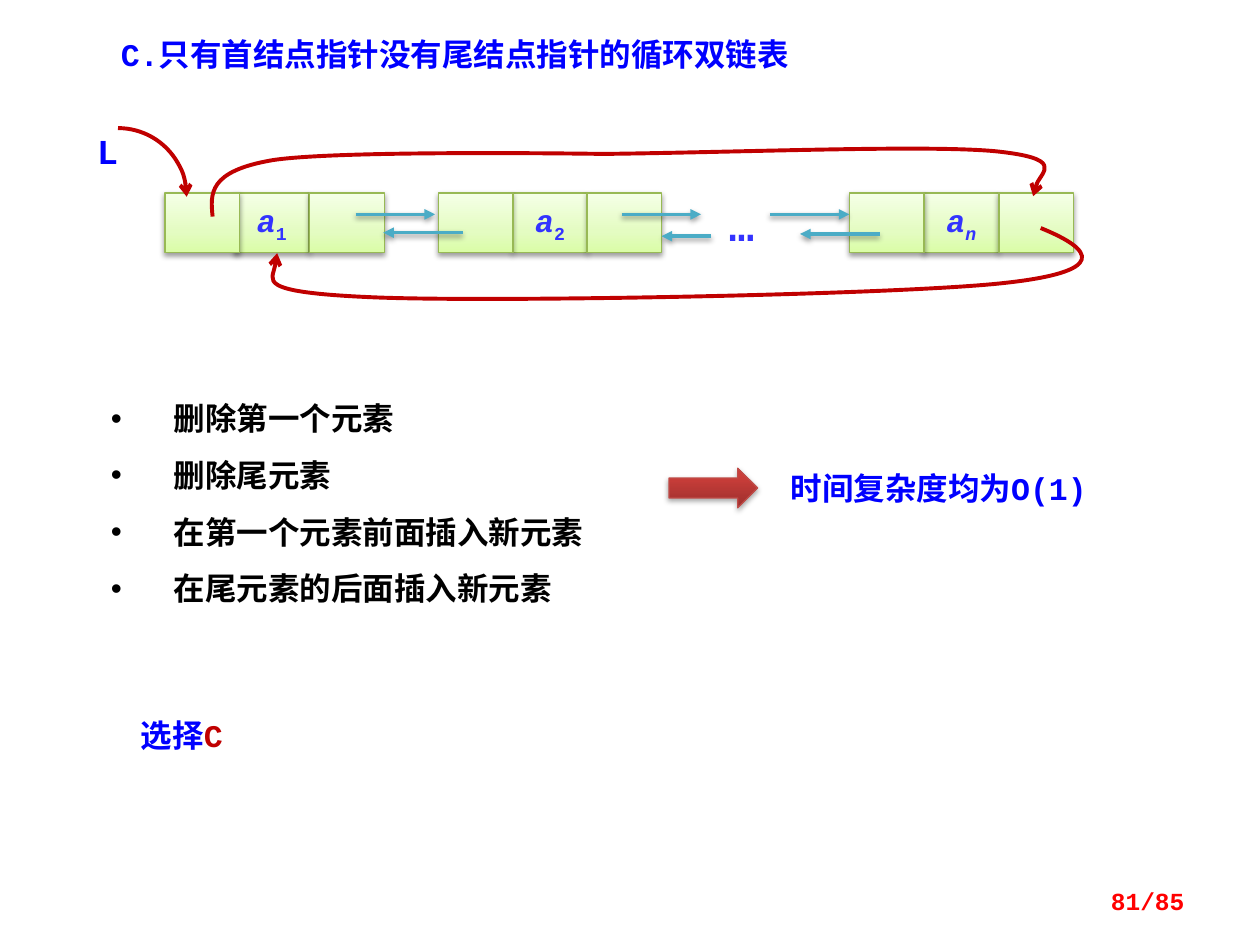
from lxml import etree
from pptx import Presentation
from pptx.dml.color import RGBColor
from pptx.enum.shapes import MSO_CONNECTOR, MSO_SHAPE
from pptx.enum.text import MSO_ANCHOR, PP_ALIGN
from pptx.oxml.ns import qn
from pptx.util import Pt

STRAIGHT = MSO_CONNECTOR.STRAIGHT
RECTANGLE, ARC, RIGHT_ARROW = MSO_SHAPE.RECTANGLE, MSO_SHAPE.ARC, MSO_SHAPE.RIGHT_ARROW
TOP, MIDDLE = MSO_ANCHOR.TOP, MSO_ANCHOR.MIDDLE
LEFT, CENTER, RIGHT = PP_ALIGN.LEFT, PP_ALIGN.CENTER, PP_ALIGN.RIGHT

COLORS = {
    "blue": "0000FF", "violet": "3333FF", "red": "FF0000", "crimson": "C00000",
    "black": "000000", "white": "FFFFFF", "teal": "4BACC6",
    "cell edge": "98B955", "arrow edge": "BF4C48",
}
CELL_STOPS = [(0, "DAFDA7"), (35, "E4FCC2"), (100, "F5FFE7")]
ARROW_STOPS = [(0, "9C2F2D"), (80, "CB3E3A"), (100, "CE3B37")]


def add_xml(parent, tag, **attributes):
    values = {name: str(value) for name, value in attributes.items()}
    return etree.SubElement(parent, qn(tag), values)


class Page:
    font_name = "Courier New"

    def __init__(self, deck):
        self.shapes = deck.slides.add_slide(deck.slide_layouts[6]).shapes

    def add_span(self, para, text, color="blue", **formats):
        span = para.add_run()
        span.text = text
        span.font.color.rgb = RGBColor.from_string(COLORS[color])
        baseline = formats.pop("baseline", None)
        values = {"name": self.font_name, "size": Pt(18), "bold": True, **formats}
        for name, value in values.items():
            setattr(span.font, name, value)
        if baseline:
            span.font._element.set("baseline", str(baseline * 1000))

    def text(self, area, spans, align=LEFT, anchor=TOP):
        """Add a text box; spans are (text, color, formats)."""
        frame = self.shapes.add_textbox(*map(Pt, area)).text_frame
        frame.word_wrap = True
        frame.vertical_anchor = anchor
        para = frame.paragraphs[0]
        para.alignment = align
        for text, color, formats in spans:
            self.add_span(para, text, color, **formats)

    def bullets(self, area, lines):
        box = self.shapes.add_shape(RECTANGLE, *map(Pt, area))
        box.shadow.inherit = False
        box.fill.solid()
        box.fill.fore_color.rgb = RGBColor.from_string(COLORS["white"])
        box.line.fill.background()
        frame = box.text_frame
        frame.word_wrap = True
        frame.vertical_anchor = TOP
        for index, line in enumerate(lines):
            para = frame.add_paragraph() if index else frame.paragraphs[0]
            properties = para._p.get_or_add_pPr()
            properties.set("marL", str(Pt(36)))
            properties.set("indent", str(-Pt(36)))
            add_xml(properties, "a:buFont", typeface="Arial")
            add_xml(properties, "a:buChar", char="•")
            para.alignment = LEFT
            para.line_spacing = 1.5
            self.add_span(para, line, "black")

    def add_shadow(self, effects, opacity):
        shadow = add_xml(effects, "a:outerShdw", blurRad=Pt(3.1), dist=Pt(1.6),
                         dir=5400000, rotWithShape=0)
        color = add_xml(shadow, "a:srgbClr", val=COLORS["black"])
        add_xml(color, "a:alpha", val=opacity * 1000)

    def gradient_shape(self, kind, area, stops, edge, opacity):
        shape = self.shapes.add_shape(kind, *map(Pt, area))
        shape.fill.gradient()
        shape.fill.gradient_angle = 90
        stop_list = shape._element.spPr.find(".//" + qn("a:gsLst"))
        for stop in list(stop_list):
            stop_list.remove(stop)
        for position, color in stops:
            stop = add_xml(stop_list, "a:gs", pos=position * 1000)
            add_xml(stop, "a:srgbClr", val=color)
        self.set_line(shape, edge, 0.75)
        shape.shadow.inherit = False
        self.add_shadow(shape._element.spPr.find(qn("a:effectLst")), opacity)
        return shape

    def cell(self, area, subscript=None, italic=False):
        shape = self.gradient_shape(RECTANGLE, area, CELL_STOPS, "cell edge", 38)
        if subscript:
            frame = shape.text_frame
            frame.word_wrap = False
            frame.vertical_anchor = MIDDLE
            para = frame.paragraphs[0]
            para.alignment = CENTER
            self.add_span(para, "a", "violet", italic=True)
            self.add_span(para, subscript, "violet", italic=italic, baseline=-25)

    def set_line(self, shape, color, width, tail=None):
        shape.line.color.rgb = RGBColor.from_string(COLORS[color])
        shape.line.width = Pt(width)
        if tail:
            add_xml(shape.line._get_or_add_ln(), "a:tailEnd", type=tail)

    def link(self, start, end, height):
        line = self.shapes.add_connector(
            STRAIGHT, Pt(start), Pt(height), Pt(end), Pt(height))
        self.set_line(line, "teal", 2, "triangle")
        self.add_shadow(add_xml(line._element.spPr, "a:effectLst"), 38)

    def pointer(self, shape):
        shape.fill.background()
        shape.shadow.inherit = False
        self.set_line(shape, "crimson", 2.25, "arrow")

    def arc(self, area):
        self.pointer(self.shapes.add_shape(ARC, *map(Pt, area)))

    def curve(self, points):
        """Draw cubic curves: a start, then two controls and an end for each."""
        start, *others = [(Pt(x), Pt(y)) for x, y in points]
        builder = self.shapes.build_freeform(*start)
        builder.add_line_segments(others, close=False)
        shape = builder.convert_to_shape()
        outline = shape._element.spPr.find(".//" + qn("a:path"))
        segments = outline.findall(qn("a:lnTo"))
        for first in range(0, len(segments), 3):
            cubic = add_xml(outline, "a:cubicBezTo")
            for segment in segments[first:first + 3]:
                cubic.append(segment[0])
                outline.remove(segment)
        self.pointer(shape)


def draw_list(page):
    cell_top, cell_width, cell_height = 110.2, 42.6, 34
    nodes = [((94.3, 134, 177), "1", False),
             ((250.5, 293, 335.5), "2", False),
             ((485.4, 528, 570.8), "n", True)]
    for (previous, data, following), subscript, italic in nodes:
        for left, label in ((data, subscript), (following, None), (previous, None)):
            page.cell((left, cell_top, cell_width, cell_height), label, italic)
    page.text((401, 110.2, 45.4, 36), [("…", "violet", {"size": Pt(24)})], CENTER)

    for start in (203.2, 355.2, 440):
        page.link(start, start + 45.4, 122.5)
    for start, end, height in ((264.4, 219, 133), (406.2, 378, 135), (502.6, 457.2, 133.7)):
        page.link(start, end, height)

    page.arc((28.2, 73.2, 78.5, 78.5))
    page.text((44.6, 70.6, 33.8, 31.7), [("L", "blue", {"size": Pt(20)})], CENTER)
    page.curve([(121.5, 123.8),
                (120.2, 110.9), (118.8, 97.9), (155.5, 91.6),
                (192.9, 85.6), (344.9, 88), (344.9, 88),
                (426.2, 87), (527, 82.8), (568, 86.4),
                (609, 90.5), (589.7, 103.7), (590.4, 112.2)])
    page.curve([(594.7, 130.3),
                (625, 142.6), (634.8, 155.5), (571, 162),
                (507.6, 168.5), (281.5, 172.8), (213.1, 169.9),
                (144.7, 167), (157.7, 156.2), (158.4, 144.7)])


def main():
    deck = Presentation()
    deck.slide_width, deck.slide_height = Pt(720), Pt(540)
    page = Page(deck)
    draw_list(page)
    page.text((62, 16.6, 500.4, 29),
              [("C.只有首结点指针没有尾结点指针的循环双链表", "blue", {})])
    page.bullets((56.2, 213.8, 303.8, 138.2),
                 ["删除第一个元素", "删除尾元素",
                  "在第一个元素前面插入新元素", "在尾元素的后面插入新元素"])
    page.gradient_shape(RIGHT_ARROW, (382.3, 267.5, 50.6, 22.7),
                        ARROW_STOPS, "arrow edge", 35)
    page.text((443.5, 264.2, 185.8, 29), [("时间复杂度均为O(1)", "blue", {})], CENTER)
    page.text((73.4, 405.4, 123.8, 29), [("选择", "blue", {}), ("C", "crimson", {})])
    page.text((516.2, 500.4, 167.8, 29),
              [("81/85", "red", {"size": Pt(14)})], RIGHT, MIDDLE)
    deck.save("out.pptx")


if __name__ == "__main__":
    main()
